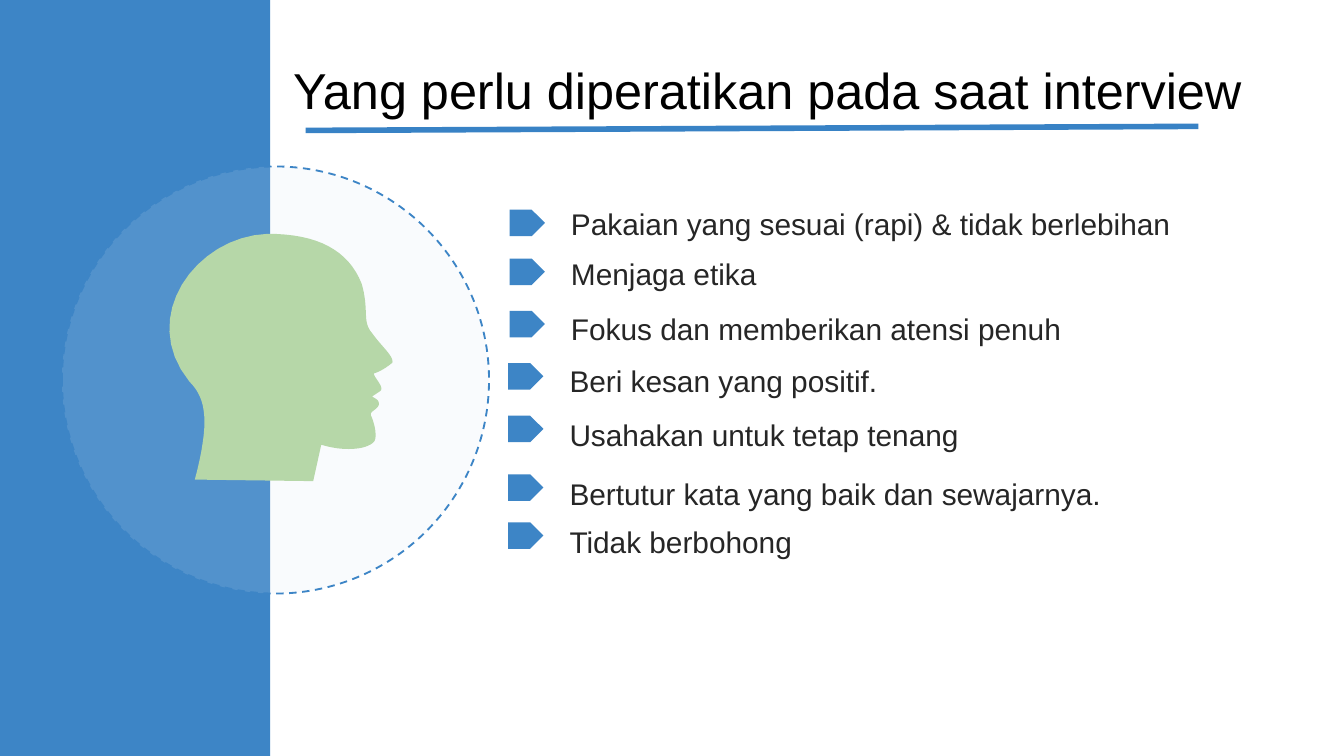
from lxml import etree
from pptx import Presentation
from pptx.dml.color import RGBColor
from pptx.enum import dml, shapes, text
from pptx.oxml import ns
from pptx.util import Pt

# Content
TITLE = "Yang perlu diperatikan pada saat interview"
# (tip, row left, tag top, text top)
TIPS = [
    ("Pakaian yang sesuai (rapi) & tidak berlebihan", 273, 112.3, 103),
    ("Menjaga etika", 273, 138.5, 129.6),
    ("Fokus dan memberikan atensi penuh", 273, 166.5, 159.1),
    ("Beri kesan yang positif.", 272.2, 194.5, 186.7),
    ("Usahakan untuk tetap tenang", 272.2, 222.7, 216),
    ("Bertutur kata yang baik dan sewajarnya.", 272.2, 254.1, 247.7),
    ("Tidak berbohong", 272.2, 279.8, 273.1),
]

# Head profile: two numbers make a straight side, six a Bezier curve
HEAD_START = (143.3, 125.3)
HEAD = [
    (169.9, 125.3, 186.5, 133.9, 193.7, 151.9),
    (198, 166.3, 193.7, 172.1, 199.4, 178.6),
    (204.5, 185.8, 211, 190.8, 210.2, 194.4),
    (207.4, 196.6, 204.5, 198.7, 200.2, 200.2),
    (200.9, 203, 205.9, 207.4, 203.8, 209.5),
    (199.4, 212.4),
    (200.9, 213.8, 203, 213.8, 203, 216.7),
    (202.3, 219.6, 198, 220.3, 198.7, 222.5),
    (200.9, 227.5, 202.3, 234.7, 200.2, 236.9),
    (195.8, 241.2, 183.6, 241.9, 172.1, 238.3),
    (167.8, 257.8),
    (104.4, 257),
    (112.3, 226.8, 110.9, 213.8, 101.5, 204.5),
    (73.4, 169.9, 105.1, 126.7, 143.3, 125.3),
]
CURVE_STEPS = 16

FONT = "Arial"
BLUE = RGBColor(0x3D, 0x85, 0xC6)
RULE_BLUE = RGBColor(0x38, 0x82, 0xC5)
PALE_BLUE = RGBColor(0xD8, 0xE7, 0xF4)
GREEN = RGBColor(0xB6, 0xD7, 0xA8)
BLACK = RGBColor(0, 0, 0)
DARK = RGBColor(0x26, 0x26, 0x26)


def paint(sp, color):
    sp.shadow.inherit = False
    sp.fill.solid()
    sp.fill.fore_color.rgb = color
    sp.line.fill.background()


def add_shape(parent, kind, left, top, width, height, color):
    sp = parent.add_shape(kind, Pt(left), Pt(top), Pt(width), Pt(height))
    paint(sp, color)
    return sp


def write(sp, words, size, color):
    tf = sp.text_frame
    tf.word_wrap = True
    tf.vertical_anchor = text.MSO_ANCHOR.TOP
    p = tf.paragraphs[0]
    p.alignment = text.PP_ALIGN.LEFT
    r = p.add_run()
    r.text = words
    r.font.name, r.font.size = FONT, Pt(size)
    r.font.color.rgb = color
    return p


def outline(start, segments):
    points = [start]
    for seg in segments:
        if len(seg) == 2:
            points.append(seg)
            continue
        ctrl = [points[-1], seg[:2], seg[2:4], seg[4:]]
        for i in range(1, CURVE_STEPS + 1):
            t = i / CURVE_STEPS
            weights = ((1 - t) ** 3, 3 * t * (1 - t) ** 2, 3 * t * t * (1 - t), t ** 3)
            points.append(tuple(sum(w * c[k] for w, c in zip(weights, ctrl))
                                for k in (0, 1)))
    return points


prs = Presentation()
prs.slide_width, prs.slide_height = Pt(720), Pt(405)
s = prs.slides.add_slide(prs.slide_layouts[5])

# Side band
add_shape(s.shapes, shapes.MSO_SHAPE.RECTANGLE, 0, 0, 144.7, 405, BLUE)

# Title and its rule
title = s.shapes.title
title.left, title.top, title.width, title.height = Pt(149.8), Pt(28.1), Pt(558.7), Pt(40.3)
write(title, TITLE, 27, BLACK)
title.text_frame.auto_size = text.MSO_AUTO_SIZE.NONE

# Tips, each a tag with its label
for tip, left, tag_top, text_top in TIPS:
    row = s.shapes.add_group_shape().shapes
    add_shape(row, shapes.MSO_SHAPE.PENTAGON, left, tag_top, 18.9, 14.2, BLUE)
    label = row.add_textbox(Pt(left + 25.8), Pt(text_top), Pt(375.8), Pt(30.2))
    write(label, tip, 16, DARK).line_spacing = 1.2

# Dashed circle
circle = add_shape(s.shapes, shapes.MSO_SHAPE.OVAL, 33.2, 89.2, 228.8, 228.8, PALE_BLUE)
fill_color = circle.fill._xPr.find(ns.qn("a:solidFill"))[0]
etree.SubElement(fill_color, ns.qn("a:alpha"), val="14000")
circle.line.color.rgb = BLUE
circle.line.width = Pt(1)
circle.line.dash_style = dml.MSO_LINE.DASH

rule = s.shapes.add_connector(shapes.MSO_CONNECTOR.STRAIGHT,
                              Pt(163.7), Pt(69.9), Pt(642), Pt(67.7))
rule.line.color.rgb = RULE_BLUE
rule.line.width = Pt(3)
etree.SubElement(rule._element.spPr, ns.qn("a:effectLst"))

# Head
points = [(round(x * 100), round(y * 100)) for x, y in outline(HEAD_START, HEAD)]
builder = s.shapes.build_freeform(*points[0], scale=Pt(1) / 100)
builder.add_line_segments(points[1:], close=True)
paint(builder.convert_to_shape(), GREEN)

prs.save("out.pptx")
